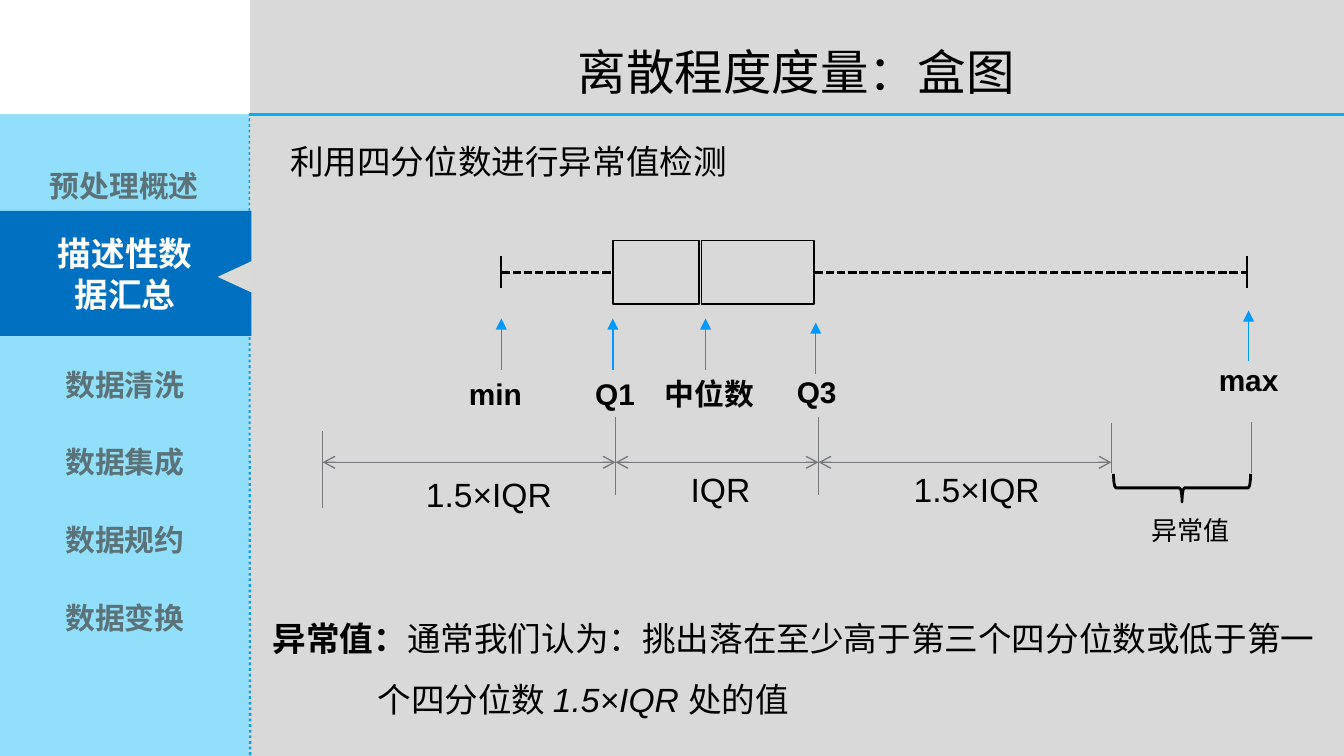
from collections import namedtuple
from dataclasses import dataclass

from pptx import Presentation
from pptx.dml.color import RGBColor
from pptx.enum import dml, shapes, text
from pptx.oxml import ns, xmlchemy
from pptx.util import Inches, Pt

Region = namedtuple("Region", "left top width height")
SHAPE = shapes.MSO_SHAPE
DASH = dml.MSO_LINE
CENTER = text.PP_ALIGN.CENTER
NO_TABLE_STYLE = "{2D5ABB26-0587-4C30-8999-92F81FD0307C}"


@dataclass(frozen=True)
class Theme:
    latin: str = "Arial"
    chinese: str = "Noto Sans CJK SC"
    page: str = "D9D9D9"
    sidebar: str = "91DFFB"
    active: str = "0070C0"
    notch: str = "DADAD9"
    menu: str = "5B7378"
    dots: str = "08A1D9"
    rule: str = "00B0F0"
    marker: str = "0099FF"
    span: str = "76787B"
    ink: str = "000000"
    white: str = "FFFFFF"
    title: int = 26
    body: int = 18
    label: int = 16
    note: int = 14


THEME = Theme()


def rgb(value):
    return RGBColor.from_string(value)


def append_element(parent, tag, **values):
    element = xmlchemy.OxmlElement(tag)
    for name, value in values.items():
        element.set(name, value)
    parent.append(element)
    return element


def add_span(para, words, size, color=THEME.ink, font=THEME.latin, **style):
    span = para.add_run()
    span.text = words
    for name, value in dict(size=Pt(size), name=font, **style).items():
        setattr(span.font, name, value)
    span.font.color.rgb = rgb(color)
    append_element(span.font._element, "a:ea", typeface=THEME.chinese)


def add_text(page, region, words, size, align=None, wrap=True, **style):
    box = page.shapes.add_textbox(*map(Inches, region))
    box.text_frame.word_wrap = wrap
    box.text_frame.auto_size = text.MSO_AUTO_SIZE.SHAPE_TO_FIT_TEXT
    para = box.text_frame.paragraphs[0]
    para.alignment = align
    if words:
        add_span(para, words, size, **style)
    return box


def add_block(page, kind, region, fill=None, line=None, weight=1):
    block = page.shapes.add_shape(kind, *map(Inches, region))
    block.shadow.inherit = False
    if fill:
        block.fill.solid()
        block.fill.fore_color.rgb = rgb(fill)
    else:
        block.fill.background()
    if line:
        block.line.color.rgb = rgb(line)
        block.line.width = Pt(weight)
    else:
        block.line.fill.background()
    return block


def add_line(page, start, end, color, weight=0.75, dash=None, head=None, tail=None):
    line = page.shapes.add_connector(
        shapes.MSO_CONNECTOR.STRAIGHT, *map(Inches, (*start, *end)))
    line.line.color.rgb = rgb(color)
    line.line.width = Pt(weight)
    if dash:
        line.line.dash_style = dash
    for tag, arrow in (("a:headEnd", head), ("a:tailEnd", tail)):
        if arrow:
            append_element(line.line._get_or_add_ln(), tag, type=arrow)
    append_element(line._element.spPr, "a:effectLst")
    return line


def add_menu_item(page, region, words):
    table = page.shapes.add_table(1, 1, *map(Inches, region)).table
    table.first_row = table.horz_banding = False
    table._tbl.tblPr.find(ns.qn("a:tableStyleId")).text = NO_TABLE_STYLE
    cell = table.cell(0, 0)
    cell.fill.background()
    para = cell.text_frame.paragraphs[0]
    para.alignment = CENTER
    add_span(para, words, THEME.label, THEME.menu, THEME.chinese, bold=True)


def build_sidebar(page, region):
    left, top, width, height = region
    right = left + width
    add_line(page, (right, top + 0.84), (right + 0.01, top + height), THEME.dots, 1.5, DASH.ROUND_DOT)
    add_block(page, SHAPE.RECTANGLE, region, THEME.sidebar)
    active = add_block(page, SHAPE.RECTANGLE, (left - 0.01, top + 1.57, 1.88, 0.93), THEME.active)
    frame = active.text_frame
    frame.vertical_anchor = text.MSO_ANCHOR.MIDDLE
    for para, words in zip((frame.paragraphs[0], frame.add_paragraph()), ("描述性数", "据汇总")):
        para.alignment = CENTER
        add_span(para, words, THEME.body, THEME.white, THEME.chinese, bold=True)
    notch = add_block(page, SHAPE.ISOSCELES_TRIANGLE, (left + 1.63, top + 1.93, 0.24, 0.26), THEME.notch)
    notch.rotation = 270
    add_menu_item(page, (left - 0.06, top + 1.16, 1.97, 0.41), "预处理概述")
    for row, words in enumerate(("数据清洗", "数据集成", "数据规约", "数据变换")):
        add_menu_item(page, (left + 0.01, top + 2.64 + 0.58 * row, 1.84, 0.41), words)
    add_block(page, SHAPE.RECTANGLE, (left - 0.03, top - 0.03, 1.89, 0.88), THEME.white)


def build_header(page, region):
    left, top, width, height = region
    base = top + height + 0.01
    add_line(page, (left, base), (left + width, base), THEME.rule, 1.5)
    title = add_text(page, region, "离散程度度量：盒图", THEME.title, CENTER)
    title.text_frame.auto_size = text.MSO_AUTO_SIZE.NONE
    title.text_frame.vertical_anchor = text.MSO_ANCHOR.MIDDLE
    title.text_frame.paragraphs[0].line_spacing = 1.5


def build_box_plot(page, region):
    left, top, width, height = region
    box_height = 0.47
    middle = top + box_height / 2
    right = left + width
    lower = add_block(page, SHAPE.RECTANGLE, (left + 0.83, top, 0.64, box_height), line=THEME.ink)
    upper = add_block(page, SHAPE.RECTANGLE, (left + 1.49, top, 0.84, box_height), line=THEME.ink)
    whiskers = [
        add_line(page, (left, middle), (left + 0.83, middle), THEME.ink, 1.5, DASH.SQUARE_DOT),
        add_line(page, (left + 2.33, middle), (right, middle), THEME.ink, 1.5, DASH.SQUARE_DOT),
    ]
    for whisker in whiskers:
        whisker.line.dash_style = DASH.SQUARE_DOT
    whiskers[0].end_connect(lower, 1)
    whiskers[1].begin_connect(upper, 3)
    for x in (left, right):
        add_line(page, (x, middle - 0.12), (x, middle + 0.12), THEME.ink, 1.25)

    # Words, arrow x, arrow foot, label offset from the arrow, label top, label width
    markers = (
        ("min", 0, 0.96, -0.34, 0.96, 0.67, None),
        ("Q1", 0.83, 0.96, -0.23, 0.96, 0.51, None),
        ("中位数", 1.52, 0.96, -0.44, 0.96, 0.94, CENTER),
        ("Q3", 2.34, 0.99, -0.24, 0.94, 0.51, None),
        ("max", 5.56, 0.9, -0.32, 0.85, 0.67, None),
    )
    for words, x, foot, offset, label_top, label_width, align in markers:
        x += left
        add_line(page, (x, top + foot), (x, top + foot - 0.38), THEME.marker, tail="triangle")
        add_text(page, (x + offset, top + label_top, label_width, 0.37), words,
                 THEME.label, align, bold=True)


def build_ranges(page, region):
    """Draw the IQR spans, their end ticks and the outlier brace."""
    left, top, width, height = region
    axis = top + 0.34
    ticks = ((0, 0.11, 0.68), (2.18, 0, 0.58), (3.69, 0, 0.58), (5.87, 0.05, 0.42), (6.91, 0.04, 0.42))
    for x, start, end in ticks:
        add_line(page, (left + x, top + start), (left + x, top + end), THEME.span)
    spans = (("1.5×IQR", 0.67, 0.38, 1.25), ("IQR", 2.64, 0.34, 0.65), ("1.5×IQR", 4.3, 0.34, 1.25))
    for (words, x, label_top, label_width), begin, end in zip(spans, ticks, ticks[1:]):
        add_line(page, (left + begin[0], axis), (left + end[0], axis), THEME.span,
                 head="arrow", tail="arrow")
        add_text(page, (left + x, top + label_top, label_width, 0.4), words, THEME.body, wrap=False)
    brace = add_block(page, SHAPE.LEFT_BRACE, (left + 6.29, top + 0.02, 0.21, 1.02),
                      line=THEME.ink, weight=1.5)
    brace.rotation = 270
    add_text(page, (left + 5.91, top + 0.68, 1.1, 0.34), "异常值", THEME.note, CENTER,
             font=THEME.chinese)


def build_definition(page, region):
    frame = add_text(page, region, "", THEME.body).text_frame
    first, second = frame.paragraphs[0], frame.add_paragraph()
    second._p.get_or_add_pPr().set("marL", str(Inches(0.78)))
    first.line_spacing = second.line_spacing = 1.5
    add_span(first, "异常值：", THEME.body, bold=True)
    add_span(first, "通常我们认为：挑出落在至少高于第三个四分位数或低于第一", THEME.body)
    add_span(second, "个四分位数 ", THEME.body)
    add_span(second, "1.5×IQR ", THEME.body, italic=True)
    add_span(second, "处的值", THEME.body)


def main():
    deck = Presentation()
    deck.slide_width = Inches(10)
    deck.slide_height = deck.slide_width * 9 // 16
    page = deck.slides.add_slide(deck.slide_layouts[6])
    page.background.fill.solid()
    page.background.fill.fore_color.rgb = rgb(THEME.page)
    build_sidebar(page, Region(0, 0, 1.85, deck.slide_height.inches))
    build_header(page, Region(1.85, 0, 8.15, 0.84))
    add_text(page, Region(2.06, 1, 4.17, 0.4), "利用四分位数进行异常值检测", THEME.body,
             font=THEME.chinese)
    build_box_plot(page, Region(3.73, 1.79, 5.55, 1.33))
    build_ranges(page, Region(2.4, 3.1, 6.91, 1.02))
    build_definition(page, Region(1.93, 4.4, 7.99, 1.01))
    deck.save("out.pptx")


if __name__ == "__main__":
    main()
